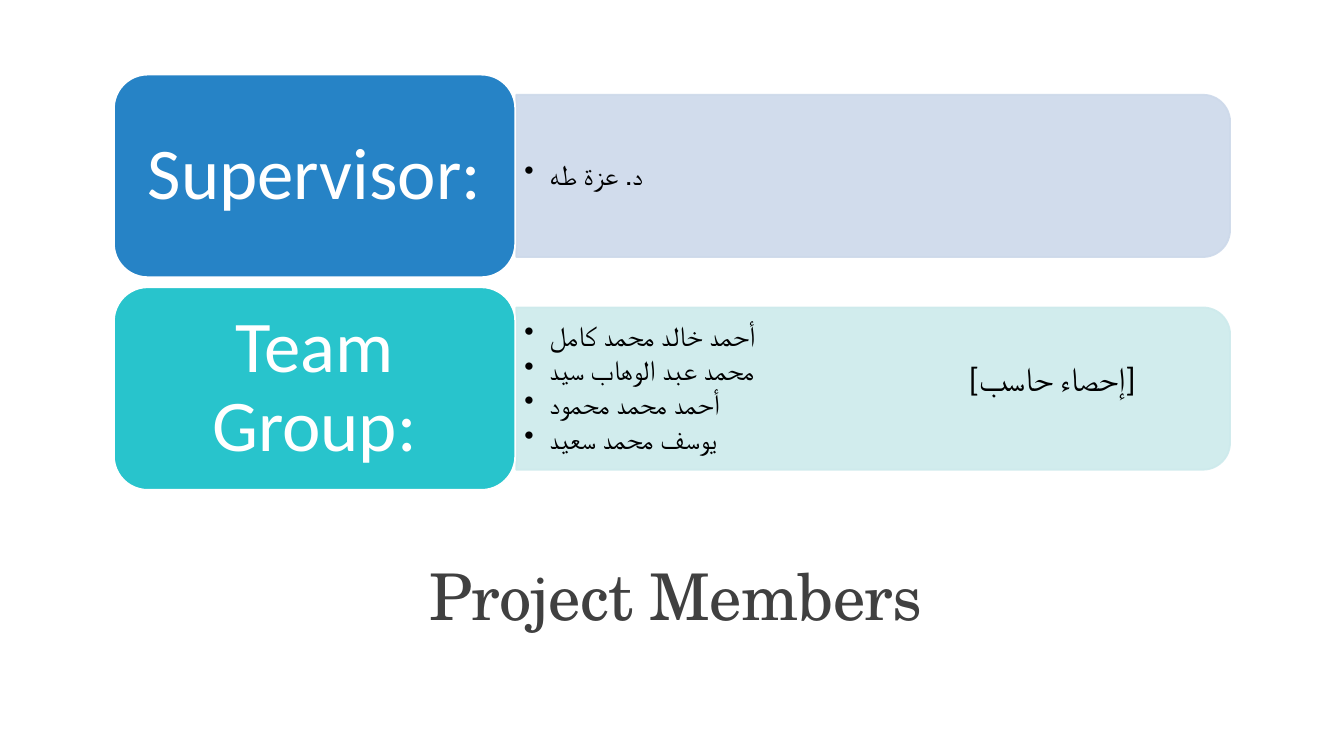
from lxml import etree
from pptx import Presentation
from pptx.dml.color import RGBColor
from pptx.enum.shapes import MSO_SHAPE
from pptx.enum.text import MSO_ANCHOR, MSO_AUTO_SIZE, PP_ALIGN
from pptx.oxml.ns import qn
from pptx.util import Inches, Pt

ROUND_RECT = MSO_SHAPE.ROUNDED_RECTANGLE
ROUND_TOP = MSO_SHAPE.ROUND_2_SAME_RECTANGLE
MIDDLE = MSO_ANCHOR.MIDDLE
CENTER = PP_ALIGN.CENTER
NO_AUTOFIT = MSO_AUTO_SIZE.NONE
GROW = MSO_AUTO_SIZE.SHAPE_TO_FIT_TEXT

TITLE_FONT, BODY_FONT = "TeX Gyre Schola", "Calibri"
LABEL_LEFT, LABEL_W, LABEL_H = 1.13, 3.98, 2.01
PANEL_LEFT, PANEL_W, PANEL_H = 5.12, 7.08, 1.61
FIRST_TOP, ROW_STEP = 0.74, 2.11

ROWS = [
    ("Supervisor:", "2683C6", "CDD9EA", ["د. عزة طه"]),
    ("Team Group:", "28C4CC", "CDEAEC",
     ["أحمد خالد محمد كامل", "محمد عبد الوهاب سيد",
      "أحمد محمد محمود", "يوسف محمد سعيد"]),
]


def rgb(color):
    return RGBColor.from_string(color)


def set_margins(tf, x, y):
    tf.margin_left = tf.margin_right = Inches(x)
    tf.margin_top = tf.margin_bottom = Inches(y)


def format_text(tf, size, color, font=BODY_FONT, align=None, spacing=None):
    tf.word_wrap = True
    for p in tf.paragraphs:
        p.alignment = align
        p.line_spacing = spacing
        for r in p.runs:
            r.font.size = Pt(size)
            r.font.name = font
            r.font.color.rgb = rgb(color)


def add_bullet(p, indent=0.25):
    pPr = p._p.get_or_add_pPr()
    pPr.set("marL", str(Inches(indent)))
    pPr.set("indent", str(-Inches(indent)))
    etree.SubElement(pPr, qn("a:buChar")).set("char", "•")


def make_translucent(sp, percent):
    for color in sp._element.spPr.iter(qn("a:srgbClr")):
        etree.SubElement(color, qn("a:alpha")).set("val", str(percent * 1000))


def add_block(slide, kind, left, top, width, height, fill, line):
    sp = slide.shapes.add_shape(
        kind, Inches(left), Inches(top), Inches(width), Inches(height))
    sp.shadow.inherit = False
    sp.fill.solid()
    sp.fill.fore_color.rgb = rgb(fill)
    sp.line.color.rgb = rgb(line)
    sp.line.width = Pt(1.25)
    return sp


def add_panel(slide, middle, color):
    """Bar with rounded right corners, made by a quarter turn."""
    sp = add_block(slide, ROUND_TOP, PANEL_LEFT + (PANEL_W - PANEL_H) / 2,
                   middle - PANEL_W / 2, PANEL_H, PANEL_W, color, color)
    sp.rotation = 90
    make_translucent(sp, 90)


def add_names(slide, middle, names):
    height = 1.45
    box = slide.shapes.add_textbox(
        Inches(PANEL_LEFT), Inches(middle - height / 2), Inches(7), Inches(height))
    tf = box.text_frame
    tf.text = "\n".join(names)
    tf.vertical_anchor = MIDDLE
    set_margins(tf, 0.08, 0.04)
    format_text(tf, 20, "000000", spacing=0.9)
    for p in tf.paragraphs:
        p.space_after = Pt(3)
        add_bullet(p)


def add_label(slide, top, text, color):
    sp = add_block(slide, ROUND_RECT, LABEL_LEFT, top, LABEL_W, LABEL_H,
                   color, "FFFFFF")
    tf = sp.text_frame
    tf.text = text
    tf.vertical_anchor = MIDDLE
    set_margins(tf, 0.22, 0.11)
    format_text(tf, 52, "FFFFFF", align=CENTER, spacing=0.9)


def add_department(slide, text):
    box = slide.shapes.add_textbox(
        Inches(9.51), Inches(3.5), Inches(2.02), Inches(0.5))
    tf = box.text_frame
    tf.text = text
    tf.auto_size = GROW
    format_text(tf, 24, "000000")


def set_title(slide, text):
    title = slide.shapes.title
    title.left, title.top = Inches(1.2), Inches(5.3)
    title.width, title.height = Inches(11), Inches(1.3)
    tf = title.text_frame
    tf.text = text
    tf.auto_size = NO_AUTOFIT
    tf.vertical_anchor = MIDDLE
    format_text(tf, 46, "404040", TITLE_FONT, CENTER, 0.9)
    tf.paragraphs[0].runs[0]._r.get_or_add_rPr().set("spc", "-50")


def main():
    prs = Presentation()
    prs.slide_width, prs.slide_height = Inches(13.33), Inches(7.5)
    slide = prs.slides.add_slide(prs.slide_layouts[5])
    set_title(slide, "Project Members")
    for i, (label, color, panel_color, names) in enumerate(ROWS):
        top = FIRST_TOP + i * ROW_STEP
        middle = top + LABEL_H / 2
        add_panel(slide, middle, panel_color)
        add_names(slide, middle, names)
        add_label(slide, top, label, color)
    add_department(slide, "[إحصاء حاسب]")
    prs.save("out.pptx")


if __name__ == "__main__":
    main()
